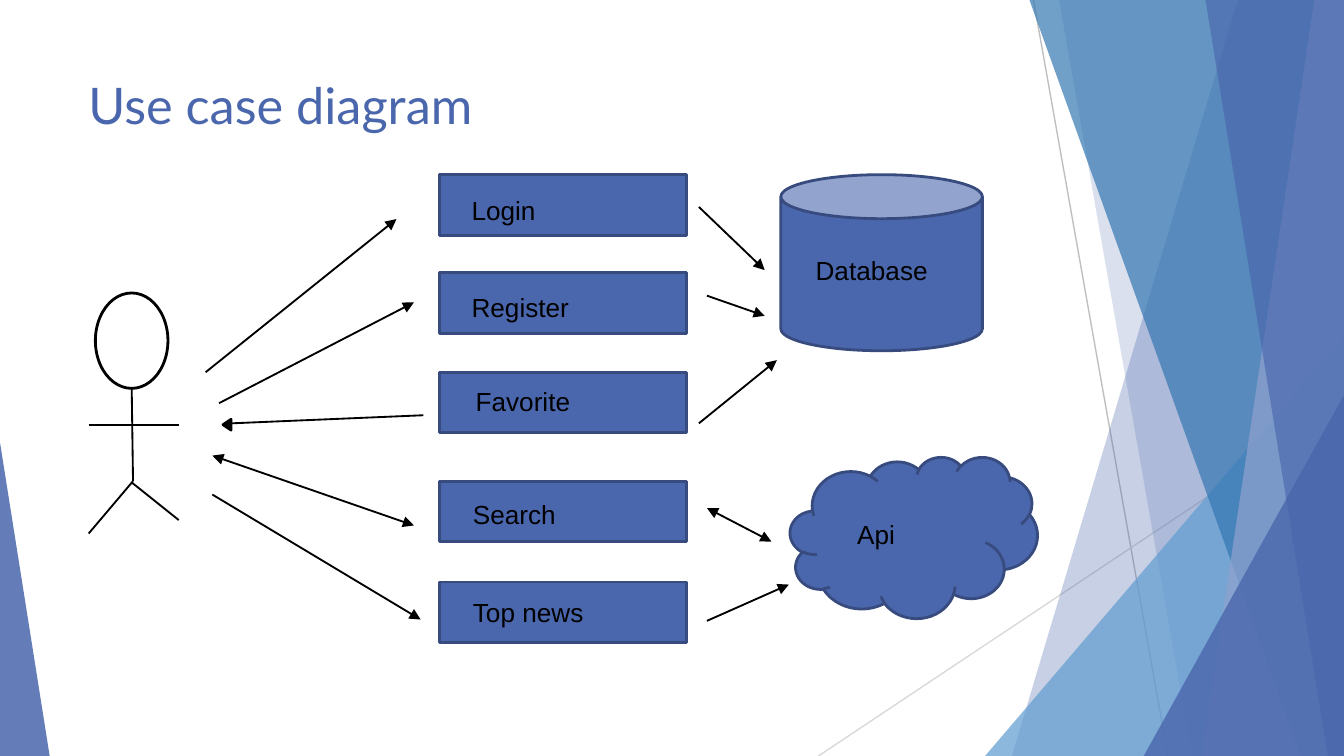
from typing import NamedTuple

from lxml import etree
from pptx import Presentation
from pptx.dml.color import RGBColor
from pptx.enum.shapes import MSO_CONNECTOR, MSO_SHAPE
from pptx.oxml.ns import qn
from pptx.util import Inches, Pt

STRAIGHT = MSO_CONNECTOR.STRAIGHT
RECT = MSO_SHAPE.RECTANGLE
OVAL = MSO_SHAPE.OVAL
CAN = MSO_SHAPE.CAN
CLOUD = MSO_SHAPE.CLOUD
TRIANGLE = MSO_SHAPE.ISOSCELES_TRIANGLE
WIDTH = 10
HEIGHT = WIDTH * 9 / 16
BLUE, NAVY, BLACK, WHITE = "4A66AC", "374B7F", "000000", "FFFFFF"


class Panel(NamedTuple):
    """A translucent band reaching the right edge of the slide."""
    top_x: float
    bottom_x: float
    color: str
    alpha: int


class Corner(NamedTuple):
    """A translucent right triangle standing on the bottom edge."""
    left: float
    top: float
    width: float
    apex: int
    color: str
    alpha: int


class UseCase(NamedTuple):
    """A use case box and the place of its label."""
    label: str
    top: float
    label_left: float
    label_top: float


class Line(NamedTuple):
    """A straight line with optional arrowheads."""
    x1: float
    y1: float
    x2: float
    y2: float
    head: bool = False
    tail: bool = False
    color: str = BLACK
    width: float = 1


BACK_LINES = [
    Line(7.69, 0, 8.69, HEIGHT, color="BFBFBF", width=0.75),
    Line(10, 3.02, 6.09, HEIGHT, color="D9D9D9", width=0.75),
]
BACKDROP = [
    Panel(9.21, 7.53, BLUE, 30),
    Panel(7.88, 8.87, BLUE, 20),
    Corner(7.33, 2.5, 2.67, 1, "629DD1", 72),
    Panel(7.66, 9.68, "3477B2", 70),
    Panel(9.78, 8.94, "90A2CF", 70),
    Panel(8.97, 9.88, BLUE, 65),
    Corner(8.51, 2.94, 1.49, 1, BLUE, 80),
    Corner(0, 3.29, 0.37, 0, BLUE, 85),
]
USE_CASES = [
    UseCase("Login", 1.3, 3.41, 1.4),
    UseCase("Register", 2.03, 3.41, 2.12),
    UseCase("Favorite", 2.77, 3.44, 2.82),
    UseCase("Search", 3.58, 3.42, 3.66),
    UseCase("Top news", 4.33, 3.42, 4.39),
]
ACTOR_LIMBS = [
    Line(0.98, 2.89, 0.99, 3.58),
    Line(0.99, 3.58, 0.66, 3.97),
    Line(0.98, 3.59, 1.33, 3.87),
    Line(0.66, 3.16, 1.33, 3.16),
]
FLOWS = [
    Line(1.53, 2.77, 2.95, 1.63, tail=True),
    Line(1.63, 3, 3.08, 2.25, tail=True),
    Line(1.58, 3.68, 3.13, 4.61, tail=True),
    Line(1.58, 3.39, 3.08, 3.91, head=True, tail=True),
    Line(5.26, 3.78, 5.74, 4.03, head=True, tail=True),
    Line(5.2, 1.54, 5.69, 2.01, tail=True),
    Line(5.26, 2.2, 5.69, 2.35, tail=True),
    Line(5.2, 3.15, 5.78, 2.68, tail=True),
    Line(5.26, 4.62, 5.87, 4.35, tail=True),
    Line(1.72, 3.15, 3.15, 3.09),
]


def rgb(color: str) -> RGBColor:
    """Turn a hex string into a colour."""
    return RGBColor.from_string(color)


def paint(sp, fill: str, line: str | None = None, alpha: int = 100) -> None:
    """Set the fill, outline and opacity of a shape."""
    sp.shadow.inherit = False
    sp.fill.solid()
    sp.fill.fore_color.rgb = rgb(fill)
    if alpha < 100:
        clr = sp._element.spPr.find(qn("a:solidFill"))[0]
        etree.SubElement(clr, qn("a:alpha"), val=str(alpha * 1000))
    if line:
        sp.line.color.rgb = rgb(line)
        sp.line.width = Pt(1.5)
    else:
        sp.line.fill.background()


def add_shape(s, kind, left: float, top: float, width: float, height: float,
              fill: str = BLUE, line: str | None = NAVY, alpha: int = 100):
    """Add a painted preset shape."""
    sp = s.shapes.add_shape(kind, Inches(left), Inches(top), Inches(width), Inches(height))
    paint(sp, fill, line, alpha)
    return sp


def add_panel(s, panel: Panel) -> None:
    """Draw a full-height band with a slanted left side."""
    fb = s.shapes.build_freeform(Inches(panel.top_x), 0)
    corners = [(WIDTH, 0), (WIDTH, HEIGHT), (panel.bottom_x, HEIGHT)]
    fb.add_line_segments([(Inches(x), Inches(y)) for x, y in corners])
    paint(fb.convert_to_shape(), panel.color, alpha=panel.alpha)


def add_corner(s, c: Corner) -> None:
    """Draw a right triangle down to the bottom edge."""
    sp = add_shape(s, TRIANGLE, c.left, c.top, c.width, HEIGHT - c.top, c.color, None, c.alpha)
    sp.adjustments[0] = c.apex


def add_line(s, line: Line) -> None:
    """Draw a straight connector with its arrowheads."""
    cx = s.shapes.add_connector(STRAIGHT, Inches(line.x1), Inches(line.y1),
                                Inches(line.x2), Inches(line.y2))
    cx.line.color.rgb = rgb(line.color)
    cx.line.width = Pt(line.width)
    ln = cx.line._get_or_add_ln()
    for tag, shown in (("a:headEnd", line.head), ("a:tailEnd", line.tail)):
        if shown:
            etree.SubElement(ln, qn(tag), type="triangle")
    etree.SubElement(cx._element.spPr, qn("a:effectLst"))


def add_text(s, text: str, left: float, top: float, width: float = 1.58, height: float = 0.34,
             *, size: float = 14, font: str = "Arial", color: str = BLACK) -> None:
    """Add a one-line text box."""
    tb = s.shapes.add_textbox(Inches(left), Inches(top), Inches(width), Inches(height))
    tf = tb.text_frame
    tf.word_wrap = True
    r = tf.paragraphs[0].add_run()
    r.text = text
    r.font.size = Pt(size)
    r.font.name = font
    r.font.color.rgb = rgb(color)


def main() -> None:
    """Build the use case slide."""
    prs = Presentation()
    prs.slide_width, prs.slide_height = Inches(WIDTH), Inches(HEIGHT)
    s = prs.slides.add_slide(prs.slide_layouts[6])
    for line in BACK_LINES:
        add_line(s, line)
    for item in BACKDROP:
        if isinstance(item, Panel):
            add_panel(s, item)
        else:
            add_corner(s, item)
    add_text(s, "Use case diagram", 0.56, 0.5, 7.05, 1.08, size=27, font="Lato", color=BLUE)
    for case in USE_CASES:
        add_shape(s, RECT, 3.27, case.top, 1.84, 0.45)
        add_text(s, case.label, case.label_left, case.label_top)
    add_shape(s, CAN, 5.81, 1.3, 1.5, 1.31)
    add_shape(s, CLOUD, 5.88, 3.4, 1.84, 1.2)
    add_text(s, "Database", 5.97, 1.84, 1.18)
    add_text(s, "Api", 6.28, 3.81, 1.13, 0.57)
    add_shape(s, OVAL, 0.71, 2.18, 0.54, 0.71, WHITE, BLACK)
    for line in ACTOR_LIMBS + FLOWS:
        add_line(s, line)
    favorite_tip = add_shape(s, TRIANGLE, 1.65, 3.13, 0.08, 0.06, BLACK, BLACK)
    favorite_tip.rotation = 270
    prs.save("out.pptx")


if __name__ == "__main__":
    main()
